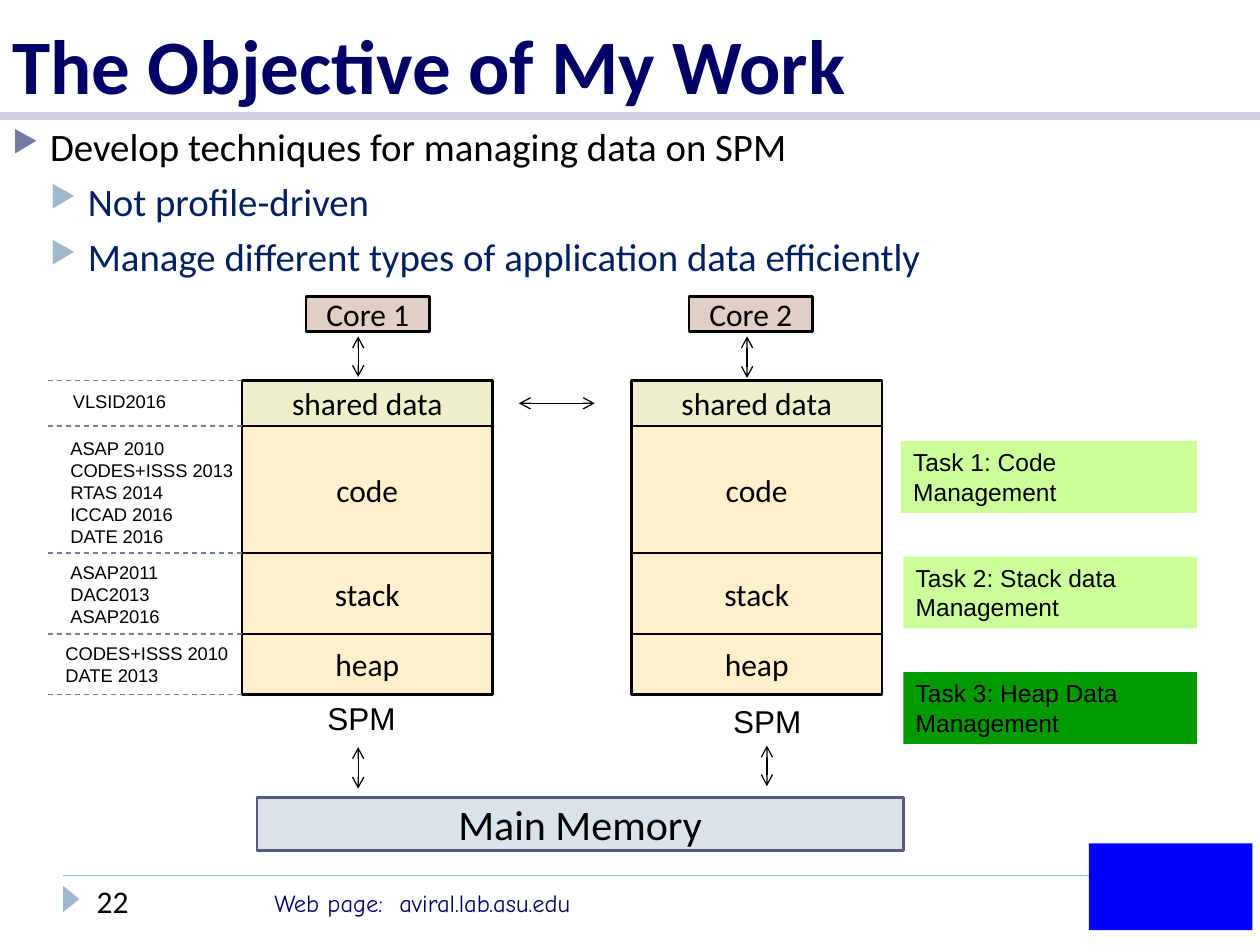
import pptx
import pptx.dml.color
import pptx.enum.dml
import pptx.enum.shapes
import pptx.enum.text
import pptx.oxml
import pptx.oxml.ns
import pptx.util

Cm = pptx.util.Cm
Pt = pptx.util.Pt
RGB = pptx.dml.color.RGBColor.from_string
Shape = pptx.enum.shapes.MSO_SHAPE
Align = pptx.enum.text.PP_ALIGN
Anchor = pptx.enum.text.MSO_ANCHOR


class Theme:
    heading_font, label_font, footer_font = "Calibri", "Arial", "Comic Neue"
    title_size, memory_size, body_size = 44, 24, 22.2
    block_size, task_size, paper_size = 18, 14, 10.5
    black, navy, deep_blue, slate = "000000", "000066", "002060", "727CA3"
    sky, pale_rule, memory_fill, memory_line = "9FB8CD", "CCD0E0", "D9E3EB", "545C79"
    core_fill, shared_fill, data_fill = "E3CEC7", "EDF0CA", "FDF0CA"
    task_fill, current_task_fill, emblem = "CCFF99", "009900", "0000FF"


def add_box(bounds, lines, font, size, color=Theme.black, fill=None, outline=None,
            align=Align.LEFT, anchor=Anchor.TOP, kind=Shape.RECTANGLE, bold=False):
    lengths = [Cm(value) for value in bounds]
    if fill:
        box = page.shapes.add_shape(kind, *lengths)
        box.shadow.inherit = False
        box.fill.solid()
        box.fill.fore_color.rgb = RGB(fill)
        if outline:
            box.line.color.rgb = RGB(outline)
            box.line.width = Pt(1.5)
        else:
            box.line.fill.background()
    else:
        box = page.shapes.add_textbox(*lengths)
    box.text_frame.word_wrap = True
    box.text_frame.vertical_anchor = anchor
    box.text_frame.text = "\n".join(lines)
    for para in box.text_frame.paragraphs:
        para.alignment = align
        for span in para.runs:
            span.font.name = font
            span.font.size = Pt(size)
            span.font.bold = bold
            span.font.color.rgb = RGB(color)
    return box


def add_line(x1, y1, x2, y2, color, width=0.75, dashed=False, arrows=False):
    line = page.shapes.add_connector(
        pptx.enum.shapes.MSO_CONNECTOR.STRAIGHT, Cm(x1), Cm(y1), Cm(x2), Cm(y2))
    line.line.color.rgb = RGB(color)
    line.line.width = Pt(width)
    if dashed:
        line.line.dash_style = pptx.enum.dml.MSO_LINE.DASH
    if arrows:
        stroke = line.line._get_or_add_ln()
        for end in ("a:headEnd", "a:tailEnd"):
            stroke.append(pptx.oxml.parse_xml(
                f'<{end} {pptx.oxml.ns.nsdecls("a")} type="arrow"/>'))
    line._element.spPr.append(pptx.oxml.parse_xml(
        f'<a:effectLst {pptx.oxml.ns.nsdecls("a")}/>'))


deck = pptx.Presentation()
deck.slide_width, deck.slide_height = Cm(25.4), Cm(19.05)
page = deck.slides.add_slide(deck.slide_layouts[6])

add_line(1.27, 17.65, 22.02, 17.65, Theme.sky, 1)
add_line(0, 2.34, 25.4, 2.34, Theme.pale_rule, 5)
marker = add_box((1.17, 17.96, 0.53, 0.33), [""], Theme.heading_font,
                 Theme.block_size, fill=Theme.sky, kind=Shape.ISOSCELES_TRIANGLE)
marker.rotation = 90
add_box((5.28, 17.78, 9.53, 0.86), ["Web page:  aviral.lab.asu.edu"],
        Theme.footer_font, Theme.task_size, Theme.navy)
add_box((1.7, 17.65, 3.58, 1.02), ["22"], Theme.heading_font, Theme.block_size)
add_box((21.95, 17, 3.3, 1.75), [""], Theme.heading_font, Theme.block_size,
        fill=Theme.emblem)

add_box((0, 0, 25.4, 2.34), ["The Objective of My Work"], Theme.heading_font,
        Theme.title_size, Theme.navy, anchor=Anchor.BOTTOM, bold=True)

body = add_box((0, 2.34, 25.4, 2.92),
               ["Develop techniques for managing data on SPM",
                "Not profile-driven",
                "Manage different types of application data efficiently"],
               Theme.heading_font, Theme.body_size)
for index, para in enumerate(body.text_frame.paragraphs):
    level = min(index, 1)
    para.level = level
    if level:
        para.space_before = Pt(5)
        para.runs[0].font.color.rgb = RGB(Theme.deep_blue)
    properties = para._p.get_or_add_pPr()
    properties.set("marL", str(Cm(0.76 * (level + 1))))
    properties.set("indent", str(-Cm(0.76)))
    bullet_color = (Theme.slate, Theme.sky)[level]
    for bullet in (f'a:buClr {{}}><a:srgbClr val="{bullet_color}"/></a:buClr>',
                   'a:buSzPct {} val="76000"/>', 'a:buChar {} char="▶"/>'):
        properties.append(pptx.oxml.parse_xml(
            "<" + bullet.format(pptx.oxml.ns.nsdecls("a"))))

edges = [7.67, 8.59, 11.15, 12.78, 14]
sections = ["shared data", "code", "stack", "heap"]
stack_width = 5.05
stack_lefts = [4.88, 12.73]
core_lefts = [6.17, 13.89]
for number, (stack_left, core_left) in enumerate(zip(stack_lefts, core_lefts), 1):
    add_box((core_left, 5.98, 2.49, 0.71), [f"Core {number}"], Theme.heading_font,
            Theme.block_size, fill=Theme.core_fill, outline=Theme.black,
            align=Align.CENTER, anchor=Anchor.MIDDLE)
    for section, top, bottom in zip(sections, edges, edges[1:]):
        fill = Theme.shared_fill if section == "shared data" else Theme.data_fill
        add_box((stack_left, top, stack_width, bottom - top), [section],
                Theme.heading_font, Theme.block_size, fill=fill, outline=Theme.black,
                align=Align.CENTER, anchor=Anchor.MIDDLE)

for left, top in [(6.35, 13.97), (14.53, 14.02)]:
    add_box((left, top, 2.26, 1.02), ["SPM"], Theme.label_font, Theme.block_size)
add_box((5.18, 16.08, 13.03, 1.07), ["Main Memory"], Theme.heading_font,
        Theme.memory_size, fill=Theme.memory_fill, outline=Theme.memory_line,
        align=Align.CENTER, anchor=Anchor.MIDDLE)

for x1, y1, x2, y2 in [(7.22, 6.78, 7.22, 7.6), (15.06, 6.78, 15.06, 7.62),
                       (10.46, 8.13, 11.99, 8.13),
                       (7.22, 15.06, 7.22, 15.9), (15.46, 15.03, 15.46, 15.85)]:
    add_line(x1, y1, x2, y2, Theme.black, arrows=True)

for edge in edges:
    add_line(0.96, edge, stack_lefts[0], edge, Theme.slate, dashed=True)
papers = [
    (1.22, 7.75, 0.71, ["VLSID2016"]),
    (1.17, 8.69, 2.49, ["ASAP 2010", "CODES+ISSS 2013", "RTAS 2014",
                        "ICCAD 2016", "DATE 2016"]),
    (1.17, 11.18, 1.6, ["ASAP2011", "DAC2013", "ASAP2016"]),
    (1.07, 12.83, 1.14, ["CODES+ISSS 2010", "DATE 2013"]),
]
for left, top, height, lines in papers:
    add_box((left, top, 4.14, height), lines, Theme.label_font, Theme.paper_size)

tasks = [
    (18.16, "Task 1: Code Management", Theme.task_fill),
    (18.21, "Task 2: Stack data Management", Theme.task_fill),
    (18.21, "Task 3: Heap Data Management", Theme.current_task_fill),
]
for index, (left, task, fill) in enumerate(tasks):
    add_box((left, 8.89 + 2.33 * index, 24.13 - left, 1.45), [task],
            Theme.label_font, Theme.task_size, fill=fill)

deck.save("out.pptx")
